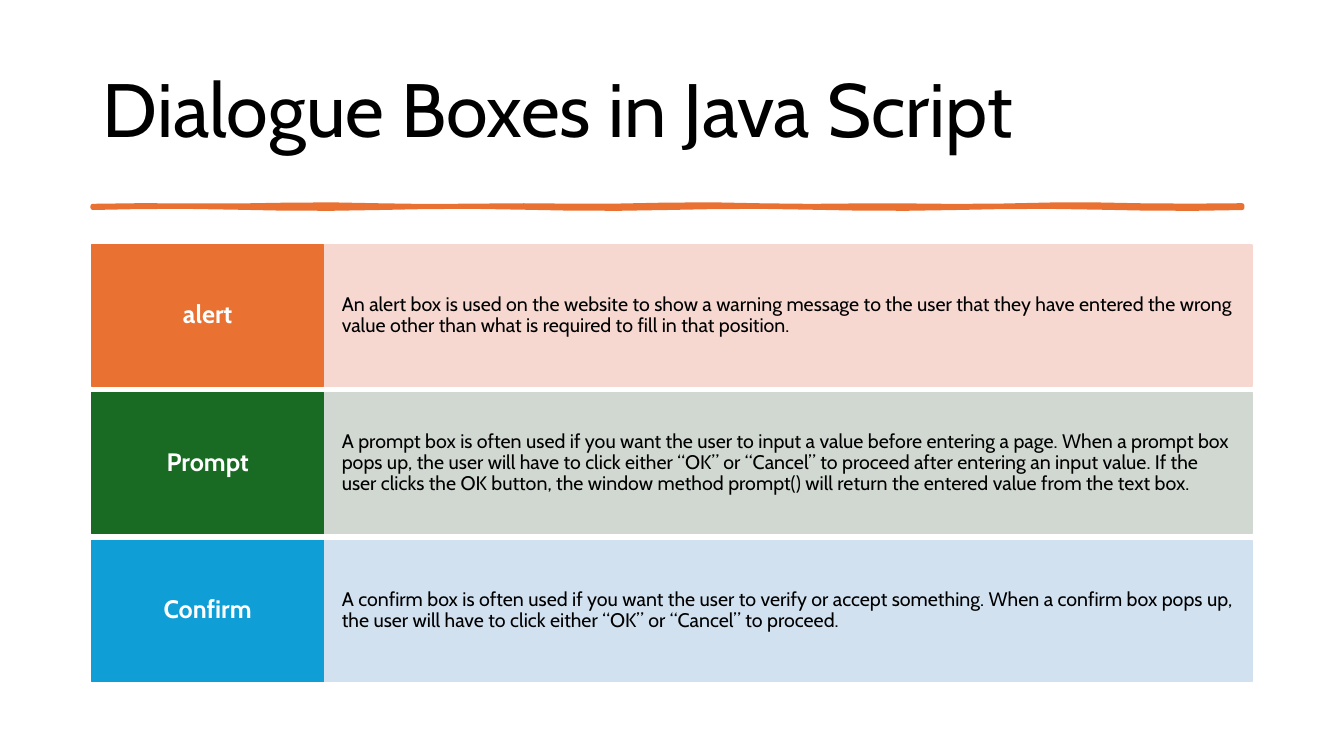
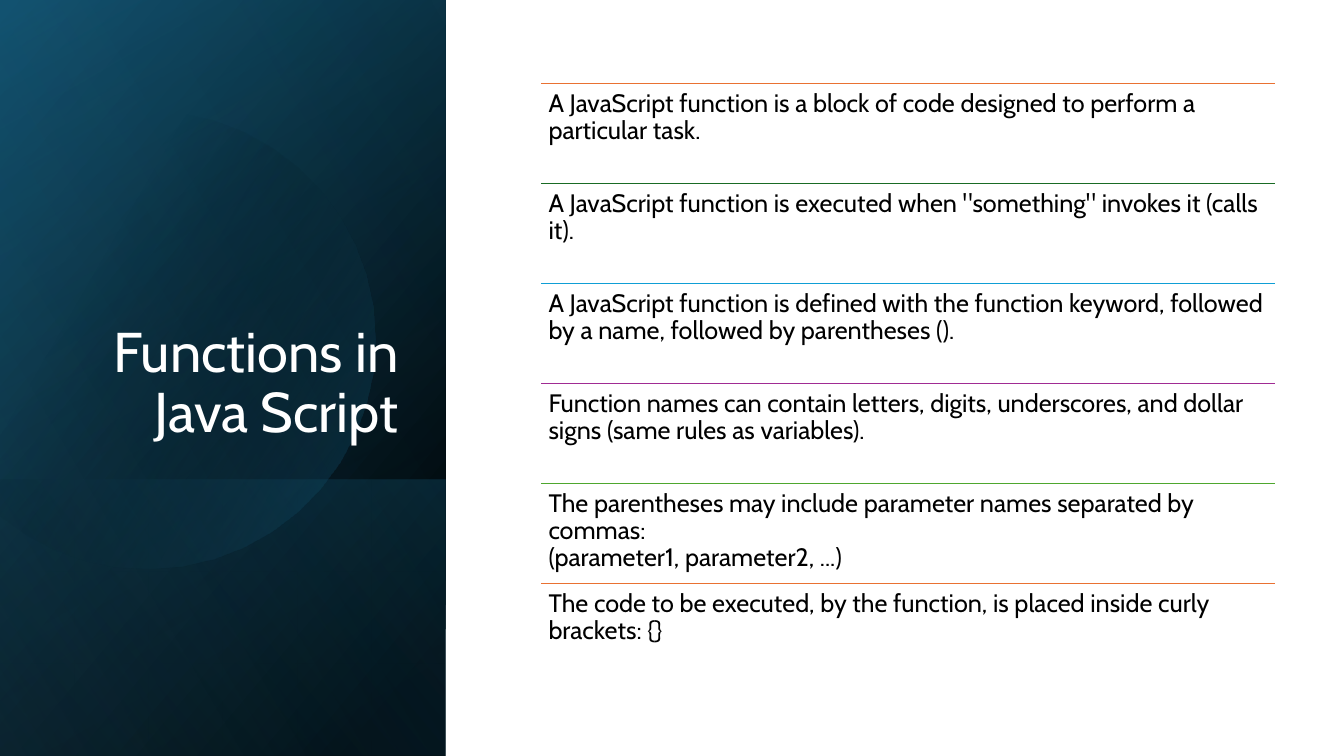
import math

from lxml import etree
from pptx import Presentation
from pptx.dml.color import RGBColor
from pptx.enum import shapes, text
from pptx.oxml import ns
from pptx.util import Inches, Pt

FONT = "Cabin"
BLACK = RGBColor(0x00, 0x00, 0x00)
WHITE = RGBColor(0xFF, 0xFF, 0xFF)
ORANGE = RGBColor(0xE9, 0x71, 0x32)
GREEN = RGBColor(0x19, 0x6B, 0x24)
BLUE = RGBColor(0x0F, 0x9E, 0xD5)
PURPLE = RGBColor(0xA0, 0x2B, 0x93)
LIME = RGBColor(0x4E, 0xA7, 0x2E)
PALE_ORANGE = RGBColor(0xF6, 0xD8, 0xD1)
PALE_GREEN = RGBColor(0xD1, 0xD8, 0xD2)
PALE_BLUE = RGBColor(0xD1, 0xE1, 0xF0)
TEAL = RGBColor(0x15, 0x60, 0x82)
DEEP_TEAL = RGBColor(0x10, 0x48, 0x62)
SKY = RGBColor(0x46, 0xB1, 0xE1)

MIDDLE, BOTTOM, TOP = text.MSO_ANCHOR.MIDDLE, text.MSO_ANCHOR.BOTTOM, text.MSO_ANCHOR.TOP
LEFT, CENTER, RIGHT = text.PP_ALIGN.LEFT, text.PP_ALIGN.CENTER, text.PP_ALIGN.RIGHT


def write(box, words, size, color=BLACK, align=LEFT, anchor=TOP, insets=(0.1, 0.05), bold=False):
    """Set the words of a box in the deck's style; insets are (sides, top and bottom)."""
    frame = box.text_frame
    frame.word_wrap = True
    frame.vertical_anchor = anchor
    frame.margin_left = frame.margin_right = Inches(insets[0])
    frame.margin_top = frame.margin_bottom = Inches(insets[1])
    frame.text = words
    para = frame.paragraphs[0]
    para.alignment = align
    para.line_spacing = 0.9
    for span in para.runs:
        span.font.name = FONT
        span.font.size = Pt(size)
        span.font.bold = bold
        span.font.color.rgb = color


def shade(shape, angle, stops):
    """Fill with a linear gradient; stops are (position, colour, opacity) in percent."""
    shape.shadow.inherit = False
    shape.line.fill.background()
    shape.fill.gradient()
    gradient = shape.element.spPr.find(ns.qn("a:gradFill"))
    stop_list = gradient.find(ns.qn("a:gsLst"))
    for old_stop in list(stop_list):
        stop_list.remove(old_stop)
    for position, color, opacity in stops:
        stop = etree.SubElement(stop_list, ns.qn("a:gs"), pos=str(position * 1000))
        fill = etree.SubElement(stop, ns.qn("a:srgbClr"), val=str(color))
        etree.SubElement(fill, ns.qn("a:alpha"), val=str(opacity * 1000))
    gradient.find(ns.qn("a:lin")).set("ang", str(angle * 60000))


deck = Presentation()
deck.slide_width, deck.slide_height = Inches(13.33), Inches(7.5)
blank = deck.slide_layouts[6]

# Dialogue boxes
page = deck.slides.add_slide(blank)
title = page.shapes.add_textbox(Inches(0.92), Inches(0.4), Inches(11.5), Inches(1.45))
write(title, "Dialogue Boxes in Java Script", 54, anchor=MIDDLE)

# Brush stroke: two gently waving edges
steps = [0.92 + 11.4 * i / 24 for i in range(25)]
upper = [(x, 2.04 + 0.01 * math.sin(2.5 * x) * math.cos(0.9 * x)) for x in steps]
lower = [(x, 2.06 + 0.01 * math.sin(2.2 * x + 1)) for x in reversed(steps)]
edge = [(Inches(x), Inches(y)) for x, y in upper + lower]
outline = page.shapes.build_freeform(*edge[0])
outline.add_line_segments(edge[1:], close=True)
stroke = outline.convert_to_shape()
stroke.shadow.inherit = False
stroke.fill.solid()
stroke.fill.fore_color.rgb = ORANGE
stroke.line.color.rgb = ORANGE
stroke.line.width = Pt(3.25)

dialogues = [
    ("alert", ORANGE, PALE_ORANGE,
     "An alert box is used on the website to show a warning message to the user that they have "
     "entered the wrong value other than what is required to fill in that position."),
    ("Prompt", GREEN, PALE_GREEN,
     "A prompt box is often used if you want the user to input a value before entering a page. "
     "When a prompt box pops up, the user will have to click either “OK” or “Cancel” to proceed "
     "after entering an input value. If the user clicks the OK button, the window method prompt() "
     "will return the entered value from the text box."),
    ("Confirm", BLUE, PALE_BLUE,
     "A confirm box is often used if you want the user to verify or accept something. When a "
     "confirm box pops up, the user will have to click either “OK” or “Cancel” to proceed."),
]
row_pitch = (5.36 - 2.43) / 2
for row, (name, strong, pale, meaning) in enumerate(dialogues):
    cells = []
    for left, width, color in ((3.21, 9.21, pale), (0.91, 2.3, strong)):
        cell = page.shapes.add_shape(shapes.MSO_SHAPE.RECTANGLE, Inches(left),
                                     Inches(2.43 + row * row_pitch), Inches(width), Inches(1.4))
        cell.shadow.inherit = False
        cell.fill.solid()
        cell.fill.fore_color.rgb = color
        cell.line.color.rgb = color
        cell.line.width = Pt(1)
        cells.append(cell)
    write(cells[0], meaning, 14, anchor=MIDDLE, insets=(0.18, 0.35))
    write(cells[1], name, 18, WHITE, CENTER, MIDDLE, (0.12, 0.14), bold=True)

# Functions
page = deck.slides.add_slide(blank)
PANEL_WIDTH = 4.42
layers = [
    (0, 220, [(8, BLACK, 100), (100, DEEP_TEAL, 100)]),
    (0, 240, [(0, BLACK, 0), (99, TEAL, 46)]),
    (4.76, 140, [(2, TEAL, 29), (100, BLACK, 30)]),
    (0, 150, [(0, BLACK, 0), (99, SKY, 11)]),
]
panels = []
for top, angle, stops in layers:
    panel = page.shapes.add_shape(shapes.MSO_SHAPE.RECTANGLE, 0, Inches(top),
                                  Inches(PANEL_WIDTH), Inches(7.5 - top))
    shade(panel, angle, stops)
    panels.append(panel)

# Disc cut off by the left edge of the slide, under the last layer
center_x, center_y, radius = 1.45, 3.37, 2.27
reach = math.acos(-center_x / radius)
arc = []
for i in range(33):
    turn = reach * (i / 16 - 1)
    arc.append((Inches(center_x + radius * math.cos(turn)),
                Inches(center_y + radius * math.sin(turn))))
outline = page.shapes.build_freeform(*arc[0])
outline.add_line_segments(arc[1:], close=True)
disc = outline.convert_to_shape()
shade(disc, 30, [(29, BLACK, 0), (100, TEAL, 43)])
panels[-1].element.addprevious(disc.element)

title = page.shapes.add_textbox(Inches(0.64), Inches(1.84), Inches(3.41), Inches(2.62))
write(title, "Functions in Java Script", 40, WHITE, RIGHT, BOTTOM)

facts = [
    (ORANGE, "A JavaScript function is a block of code designed to perform a particular task."),
    (GREEN, 'A JavaScript function is executed when "something" invokes it (calls it).'),
    (BLUE, "A JavaScript function is defined with the function keyword, followed by a name, "
           "followed by parentheses ()."),
    (PURPLE, "Function names can contain letters, digits, underscores, and dollar signs "
             "(same rules as variables)."),
    (LIME, "The parentheses may include parameter names separated by commas:\v"
           "(parameter1, parameter2, ...)"),
    (ORANGE, "The code to be executed, by the function, is placed inside curly brackets: {}"),
]
fact_pitch = (5.79 - 0.83) / 5
for row, (color, fact) in enumerate(facts):
    top = Inches(0.83 + row * fact_pitch)
    rule = page.shapes.add_connector(shapes.MSO_CONNECTOR.STRAIGHT,
                                     Inches(5.37), top, Inches(12.65), top)
    rule.line.color.rgb = color
    rule.line.width = Pt(1)
    etree.SubElement(rule.element.spPr, ns.qn("a:effectLst"))
    box = page.shapes.add_textbox(Inches(5.37), top, Inches(7.29), Inches(0.99))
    write(box, fact, 18, insets=(0.07, 0.07))

deck.save("out.pptx")
